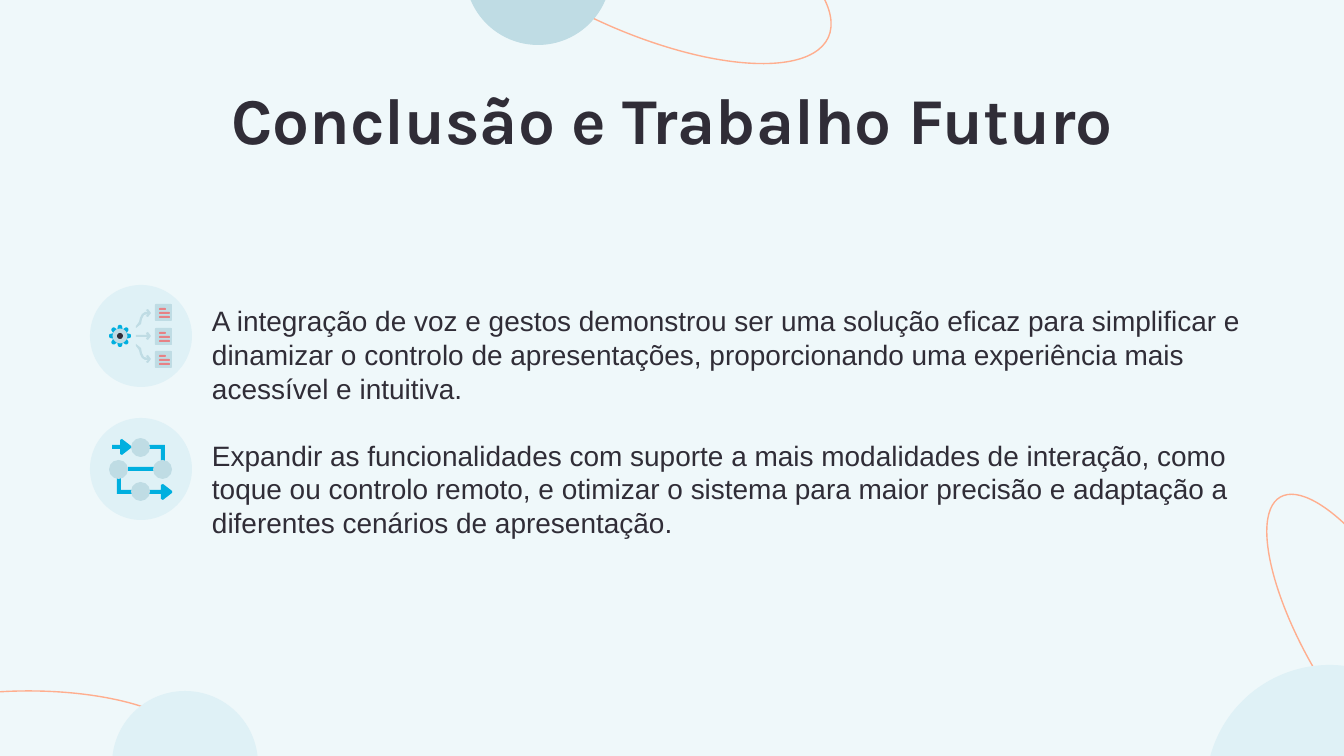
from math import cos, pi, sin

from pptx import Presentation
from pptx.dml.color import RGBColor
from pptx.enum.shapes import MSO_SHAPE
from pptx.enum.text import MSO_ANCHOR, PP_ALIGN
from pptx.util import Inches, Pt

W, H = 1344, 756
SCALE = Inches(10) / W
OVAL, RECT, ROUND = MSO_SHAPE.OVAL, MSO_SHAPE.RECTANGLE, MSO_SHAPE.ROUNDED_RECTANGLE
TOP, MIDDLE = MSO_ANCHOR.TOP, MSO_ANCHOR.MIDDLE
LEFT, CENTER = PP_ALIGN.LEFT, PP_ALIGN.CENTER

BG, INK, PALE, MIST = "EFF8FA", "302D37", "DFF1F6", "BFDCE4"
PEACH, CYAN, ROSE = "FFAE8E", "00AFDF", "E78185"

CONCLUSIONS = [
    "A integração de voz e gestos demonstrou ser uma solução eficaz para simplificar e "
    "dinamizar o controlo de apresentações, proporcionando uma experiência mais "
    "acessível e intuitiva.",
    "Expandir as funcionalidades com suporte a mais modalidades de interação, como "
    "toque ou controlo remoto, e otimizar o sistema para maior precisão e adaptação a "
    "diferentes cenários de apresentação.",
]
STRAIGHT_ARROW = [(136, 335), (147, 335), (146, 333), (148, 332), (151, 336),
                  (148, 340), (146, 339), (147, 337), (136, 337)]
RISING_ARROW = [(148, 309), (151, 313), (148, 317), (146, 316), (148, 314), (144, 315),
                (142, 319), (141, 324), (136, 328), (136, 326), (139, 322), (140, 318),
                (142, 314), (145, 312), (148, 312), (146, 310)]
UPPER_ELBOW = [(149, 445), (165, 445), (165, 461), (161, 461), (161, 449), (149, 449)]
LOWER_ELBOW = [(117, 478), (121, 478), (121, 490), (132, 490), (132, 494), (117, 494)]


def px(n):
    """Turn px into EMU."""
    return round(n * SCALE)


def rgb(value):
    """Turn a hex string into a colour."""
    return RGBColor.from_string(value)


def paint(sp, fill):
    """Give a shape a plain fill with no line or shadow."""
    sp.shadow.inherit = False
    sp.fill.solid()
    sp.fill.fore_color.rgb = rgb(fill)
    sp.line.fill.background()


def add_solid(shapes, kind, x, y, w, h, fill):
    """Add a filled preset shape."""
    sp = shapes.add_shape(kind, px(x), px(y), px(w), px(h))
    paint(sp, fill)
    return sp


def add_ring(shapes, x, y, w, h, rotation=0):
    """Add a thin outlined ellipse."""
    sp = shapes.add_shape(OVAL, px(x), px(y), px(w), px(h))
    sp.shadow.inherit = False
    sp.fill.background()
    sp.line.color.rgb = rgb(PEACH)
    sp.line.width = Pt(0.75)
    sp.rotation = rotation


def add_outline(shapes, points, fill):
    """Add a filled polygon through the given points."""
    start, *rest = [(px(x), px(y)) for x, y in points]
    builder = shapes.build_freeform(*start)
    builder.add_line_segments(rest)
    paint(builder.convert_to_shape(), fill)


def add_flow_arrow(shapes, x, y, shaft):
    """Add a block arrow whose shaft starts at x and is centred on y."""
    tip = x + shaft
    add_outline(shapes, [(x, y - 2), (tip, y - 2), (tip, y - 7), (tip + 2, y - 8),
                         (tip + 11, y - 1), (tip + 11, y + 1), (tip + 2, y + 8),
                         (tip, y + 7), (tip, y + 2), (x, y + 2)], CYAN)


def place(sp, x, y, w, h):
    """Move and size a shape."""
    sp.left, sp.top, sp.width, sp.height = px(x), px(y), px(w), px(h)


def frame(tf, anchor, bottom=13):
    """Set wrapping, anchor and insets of a text frame."""
    tf.word_wrap = True
    tf.vertical_anchor = anchor
    tf.margin_left = tf.margin_right = tf.margin_top = px(13)
    tf.margin_bottom = px(bottom)


def write(p, text, size, font, bold=False, align=LEFT, leading=None, before=0):
    """Write one formatted run into a paragraph."""
    p.alignment = align
    p.space_before = Pt(before)
    if leading:
        p.line_spacing = Pt(leading)
    r = p.add_run()
    r.text = text
    r.font.size, r.font.name, r.font.bold = Pt(size), font, bold
    r.font.color.rgb = rgb(INK)


def add_backdrop(shapes):
    """Add the rings and discs at the slide edges."""
    add_ring(shapes, 1198, 583, 329, 113, 60)
    add_ring(shapes, -136, 691, 329, 113)
    add_ring(shapes, 425, -129, 422, 159, 24.3)
    for x, y, d, fill in [(1206, 665, 247, PALE), (112, 691, 146, PALE),
                          (465, -101, 146, MIST)]:
        add_solid(shapes, OVAL, x, y, d, d, fill)


def add_gear(shapes, cx, cy):
    """Add a gear with eight teeth around a hub."""
    for i in range(8):
        a = i * pi / 4
        tooth = [(5, -3), (10, -2), (11, -1), (11, 1), (10, 2), (5, 3)]
        add_outline(shapes, [(cx + u * cos(a) - v * sin(a), cy + u * sin(a) + v * cos(a))
                             for u, v in tooth], CYAN)
    for d, fill in [(15, MIST), (6, INK)]:
        add_solid(shapes, OVAL, cx - d / 2, cy - d / 2, d, d, fill)


def add_page(shapes, x, y):
    """Add a small page with three text bars."""
    add_solid(shapes, ROUND, x, y, 17, 17, MIST).adjustments[0] = 0.06
    for i, w in enumerate((7, 11, 11)):
        add_solid(shapes, ROUND, x + 4, y + 4 * (i + 1), w, 2, ROSE).adjustments[0] = 0.5


def add_distribution_icon(shapes):
    """Add the icon of a gear that feeds three pages."""
    add_solid(shapes, OVAL, 90, 285, 102, 102, PALE)
    for y in (304, 328, 351):
        add_page(shapes, 155, y)
    falling_arrow = [(x, 672 - y) for x, y in RISING_ARROW]
    for points in (STRAIGHT_ARROW, RISING_ARROW, falling_arrow):
        add_outline(shapes, points, MIST)
    add_gear(shapes, 120, 336)


def add_process_icon(shapes):
    """Add the icon of four linked steps."""
    add_solid(shapes, OVAL, 90, 418, 102, 102, PALE)
    add_flow_arrow(shapes, 149, 492, 12)
    for points in (UPPER_ELBOW, LOWER_ELBOW):
        add_outline(shapes, points, CYAN)
    add_solid(shapes, RECT, 128, 467, 27, 4, CYAN)
    for x, y in [(131, 438), (131, 482), (153, 460), (109, 460)]:
        add_solid(shapes, OVAL, x, y, 19, 19, MIST)
    add_flow_arrow(shapes, 112, 447, 8)


def main():
    """Build the slide and save it."""
    prs = Presentation()
    prs.slide_width, prs.slide_height = px(W), px(H)
    s = prs.slides.add_slide(prs.slide_layouts[5])
    s.background.fill.solid()
    s.background.fill.fore_color.rgb = rgb(BG)
    add_backdrop(s.shapes)

    title = s.shapes.title
    place(title, 106, 66, 1133, 85)
    frame(title.text_frame, TOP)
    write(title.text_frame.paragraphs[0], "Conclusão e Trabalho Futuro",
          size=35, font="Karla", bold=True, align=CENTER)

    tf = s.shapes.add_textbox(px(199), px(183), px(1066), px(503)).text_frame
    frame(tf, MIDDLE, bottom=39)
    for i, text in enumerate(CONCLUSIONS):
        p = tf.add_paragraph() if i else tf.paragraphs[0]
        write(p, text, size=15, font="Arial", leading=18, before=18 * i)

    for add_icon in (add_distribution_icon, add_process_icon):
        add_icon(s.shapes.add_group_shape().shapes)
    prs.save("out.pptx")


if __name__ == "__main__":
    main()
